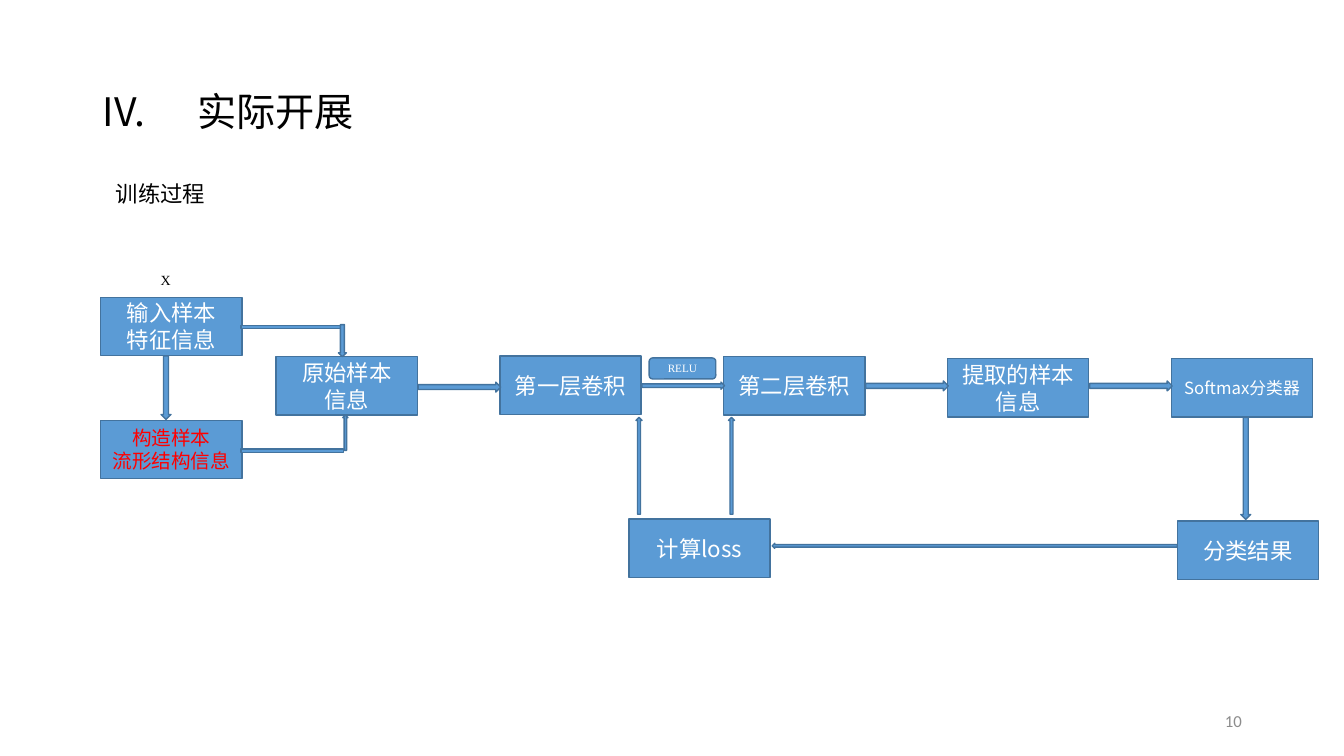
from lxml.etree import SubElement
from pptx import Presentation
from pptx.dml.color import RGBColor
from pptx.enum.shapes import MSO_SHAPE
from pptx.enum.text import MSO_ANCHOR, MSO_AUTO_SIZE, PP_ALIGN
from pptx.oxml import parse_xml
from pptx.oxml.ns import nsdecls, qn
from pptx.util import Cm, Pt

CJK = "Noto Sans CJK SC"
SERIF = "Times New Roman"
BOX_W, BOX_H = 3.56, 1.47
STAGE_X, STAGE_STEP = 6.96, 5.64

STAGES = [
    ("原始样本\n信息", 8.99, 16),
    ("第一层卷积", 8.97, 16),
    ("第二层卷积", 8.99, 16),
    ("提取的样本\n信息", 9.04, 16),
    ("Softmax分类器", 9.04, 12),
]
STAGE_ARROWS = [(9.63, 0.25), (9.63, 0.18), (9.6, 0.25), (9.6, 0.25)]
BOXES = [
    ("输入样本\n特征信息", 2.54, 7.49, 16, "FFFFFF"),
    ("构造样本\n流形结构信息", 2.54, 10.59, 14, "FF0000"),
    ("分类结果", 29.67, 13.13, 16, "FFFFFF"),
    ("计算loss", 15.85, 13.08, 16, "FFFFFF"),
]
ARROWS = [
    (MSO_SHAPE.DOWN_ARROW, 4.06, 8.97, 0.25, 1.6),
    (MSO_SHAPE.MATH_MINUS, 5.61, 8.1, 3.51, 0.28),
    (MSO_SHAPE.MATH_MINUS, 5.61, 11.18, 3.51, 0.36),
    (MSO_SHAPE.UP_ARROW, 8.64, 10.46, 0.13, 0.89),
    (MSO_SHAPE.DOWN_ARROW, 8.53, 8.18, 0.2, 0.81),
    (MSO_SHAPE.DOWN_ARROW, 31.27, 10.52, 0.25, 2.57),
    (MSO_SHAPE.LEFT_ARROW, 19.46, 13.69, 10.21, 0.13),
    (MSO_SHAPE.UP_ARROW, 16.03, 10.52, 0.15, 2.44),
    (MSO_SHAPE.UP_ARROW, 18.36, 10.52, 0.15, 2.44),
]


def rgb(color):
    """Turn a hex string into a colour."""
    return RGBColor.from_string(color)


def set_attrs(obj, values):
    """Set each attribute of an object from a dict."""
    for name, value in values.items():
        setattr(obj, name, value)


def format_run(r, size, font, color):
    """Give a run its size, colour and Latin and East Asian fonts."""
    r.font.color.rgb = rgb(color)
    set_attrs(r.font, {"size": Pt(size), "name": font})
    if font == CJK:
        SubElement(r._r.get_or_add_rPr(), qn("a:ea")).set("typeface", font)


def write(sp, text, size, font, color, align, anchor=MSO_ANCHOR.MIDDLE, wrap=True):
    """Write one paragraph per line of text into a shape."""
    tf = sp.text_frame
    set_attrs(tf, {"word_wrap": wrap, "vertical_anchor": anchor})
    for i, line in enumerate(text.split("\n")):
        p = tf.add_paragraph() if i else tf.paragraphs[0]
        p.alignment = align
        r = p.add_run()
        r.text = line
        format_run(r, size, font, color)


def add_block(s, kind, x, y, w, h):
    """Add a blue preset shape with a dark blue outline."""
    sp = s.shapes.add_shape(kind, Cm(x), Cm(y), Cm(w), Cm(h))
    sp.shadow.inherit = False
    sp.fill.solid()
    sp.fill.fore_color.rgb = rgb("5B9BD5")
    sp.line.color.rgb = rgb("43739E")
    sp.line.width = Pt(1)
    return sp


def add_box(s, text, x, y, size, color="FFFFFF"):
    """Add a labelled step of the process."""
    sp = add_block(s, MSO_SHAPE.RECTANGLE, x, y, BOX_W, BOX_H)
    write(sp, text, size, CJK, color, PP_ALIGN.CENTER)


def add_label(s, text, x, y, w, h, size, font, align, wrap=True):
    """Add a free text label."""
    sp = s.shapes.add_textbox(Cm(x), Cm(y), Cm(w), Cm(h))
    write(sp, text, size, font, "000000", align, MSO_ANCHOR.TOP, wrap)


def add_title(s, text):
    """Fill the title as a Roman-numbered heading with a text shadow."""
    sp = s.shapes.title
    set_attrs(sp, {"left": Cm(2.34), "top": Cm(1.02), "width": Cm(29.21), "height": Cm(3.68)})
    tf = sp.text_frame
    set_attrs(tf, {"word_wrap": True, "vertical_anchor": MSO_ANCHOR.MIDDLE,
                   "auto_size": MSO_AUTO_SIZE.NONE})
    p = tf.paragraphs[0]
    set_attrs(p, {"alignment": PP_ALIGN.LEFT, "line_spacing": 0.9})
    pPr = p._p.get_or_add_pPr()
    pPr.set("marL", str(Cm(2.38)))
    pPr.set("indent", str(-Cm(2.38)))
    SubElement(pPr, qn("a:buFont")).set("typeface", "+mj-lt")
    number = SubElement(pPr, qn("a:buAutoNum"))
    number.set("type", "romanUcPeriod")
    number.set("startAt", "4")
    r = p.add_run()
    r.text = text
    r.font.color.rgb = rgb("000000")
    r._r.get_or_add_rPr().append(parse_xml(
        f'<a:effectLst {nsdecls("a")}><a:outerShdw blurRad="38100" dist="38100" dir="2700000" '
        'algn="tl"><a:srgbClr val="000000"><a:alpha val="43000"/></a:srgbClr>'
        '</a:outerShdw></a:effectLst>'))
    set_attrs(r.font, {"size": Pt(28), "name": "Calibri"})


def add_page_number(s, number):
    """Add the slide number as a live field."""
    sp = s.shapes.add_textbox(Cm(23.93), Cm(17.65), Cm(7.62), Cm(1.02))
    write(sp, number, 12, "Calibri", "8C8C8C", PP_ALIGN.RIGHT)
    r = sp.text_frame.paragraphs[0].runs[0]._r
    r.tag = qn("a:fld")
    r.set("id", "{B6F15528-21DE-4FAA-801E-634DDDAF4B2B}")
    r.set("type", "slidenum")


def main():
    """Build the slide on the training process."""
    prs = Presentation()
    set_attrs(prs, {"slide_width": Cm(33.87), "slide_height": Cm(19.05)})
    prs.element.set("firstSlideNum", "10")
    s = prs.slides.add_slide(prs.slide_layouts[5])
    add_title(s, "实际开展")
    add_page_number(s, "10")
    for box in BOXES:
        add_box(s, *box)
    for i, (text, y, size) in enumerate(STAGES):
        add_box(s, text, STAGE_X + i * STAGE_STEP, y, size)
    for i, (y, h) in enumerate(STAGE_ARROWS):
        add_block(s, MSO_SHAPE.RIGHT_ARROW, 10.54 + i * STAGE_STEP, y, 2.08, h)
    for arrow in ARROWS:
        add_block(s, *arrow)
    relu = add_block(s, MSO_SHAPE.ROUNDED_RECTANGLE, 16.36, 9.02, 1.68, 0.53)
    write(relu, "RELU", 8, SERIF, "FFFFFF", PP_ALIGN.CENTER)
    add_label(s, "X", 2.74, 6.71, 2.87, 0.69, 10, SERIF, PP_ALIGN.CENTER)
    add_label(s, "训练过程", 2.67, 4.42, 2.79, 0.94, 16, CJK, PP_ALIGN.LEFT, False)
    prs.save("out.pptx")


if __name__ == "__main__":
    main()
